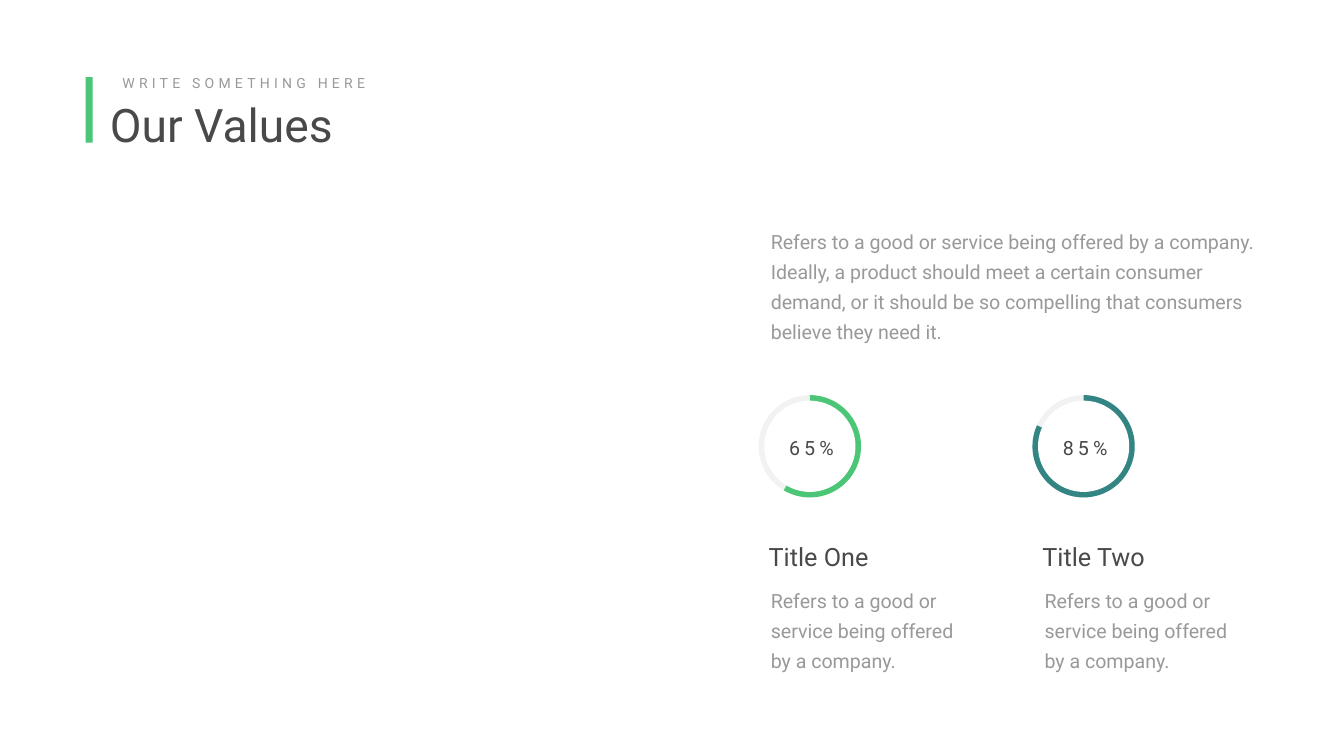
from lxml.etree import SubElement
from pptx import Presentation
from pptx.dml.color import RGBColor
from pptx.enum.shapes import MSO_SHAPE
from pptx.enum.text import MSO_ANCHOR, MSO_AUTO_SIZE, PP_ALIGN
from pptx.oxml.ns import qn
from pptx.util import Inches, Pt

DARK, GREY, GREEN, TEAL, WHITE = "494949", "999999", "4BC676", "328582", "FFFFFF"
BODY_MARGINS = (0.24, 0.12)
PLAIN_MARGINS = (0.1, 0.05)


def paint(target, color, alpha=None):
    target.solid()
    target.fore_color.rgb = RGBColor.from_string(color)
    if alpha is not None:
        color_element = target._xPr.find(qn("a:solidFill"))[0]
        SubElement(color_element, qn("a:alpha"), val=str(alpha * 1000))


def write(holder, text, size, color, margins=PLAIN_MARGINS, wrap=True,
          align=PP_ALIGN.LEFT, leading=None, tracking=None):
    frame = holder.text_frame
    side, end = (Inches(margin) for margin in margins)
    frame_format = {
        "margin_left": side, "margin_right": side,
        "margin_top": end, "margin_bottom": end,
        "word_wrap": wrap, "auto_size": MSO_AUTO_SIZE.NONE,
        "vertical_anchor": MSO_ANCHOR.TOP,
    }
    for name, value in frame_format.items():
        setattr(frame, name, value)
    paragraph = frame.paragraphs[0]
    paragraph.alignment = align
    if leading:
        paragraph.line_spacing = Pt(leading)
    run = paragraph.add_run()
    run.text = text
    for name, value in {"name": "Roboto", "size": Pt(size)}.items():
        setattr(run.font, name, value)
    run.font.color.rgb = RGBColor.from_string(color)
    if tracking:
        run.font._element.set("spc", str(tracking * 100))


def add_text(slide, box, text, size, color, **options):
    holder = slide.shapes.add_textbox(*map(Inches, box))
    write(holder, text, size, color, **options)


def add_plain_shape(shapes, kind, box, color, alpha=None):
    shape = shapes.add_shape(kind, *map(Inches, box))
    shape.shadow.inherit = False
    shape.line.fill.background()
    paint(shape.fill, color, alpha)
    return shape


def add_body(slide, box, text):
    add_text(slide, box, text, 28, GREY, margins=BODY_MARGINS, leading=43)


def add_heading(slide, box, title, tagline):
    left, top, width, height = box
    heading = slide.shapes.title
    place = {"left": left + 0.38, "top": top + 0.33,
             "width": width - 0.38, "height": 1.21}
    for name, value in place.items():
        setattr(heading, name, Inches(value))
    write(heading, title, 66, DARK)
    add_text(slide, (left + 0.63, top - 0.11, 5.96, 0.44), tagline, 20, GREY, tracking=6)
    add_plain_shape(slide.shapes, MSO_SHAPE.RECTANGLE, (left, top, 0.14, height), GREEN)


def add_dial(slide, box, label, color, end_angle):
    left, top, size, _ = box
    rim = 0.11
    hole_size = size - 2 * rim
    dial = slide.shapes.add_group_shape().shapes
    add_plain_shape(dial, MSO_SHAPE.OVAL, box, "808080", alpha=10)
    arc = add_plain_shape(dial, MSO_SHAPE.PIE, box, color)
    for index, angle in enumerate((270, end_angle)):
        arc.adjustments[index] = angle * 0.6
    add_plain_shape(dial, MSO_SHAPE.OVAL,
                    (left + rim, top + rim, hole_size, hole_size), WHITE)
    add_text(slide, (left + 0.45, top + 0.76, 1.19, 0.57), label, 28, DARK,
             wrap=False, align=PP_ALIGN.CENTER, tracking=6)


def add_value(slide, box, title, text, label, color, end_angle):
    left, top, width, _ = box
    add_dial(slide, (left, top, 2.03, 2.03), label, color, end_angle)
    add_text(slide, (left + 0.1, top + 2.85, width - 0.1, 0.71), title, 36, DARK)
    add_body(slide, (left, top + 3.6, width, 2), text)


def main():
    deck = Presentation()
    deck.slide_width, deck.slide_height = Inches(26.66), Inches(15)
    slide = deck.slides.add_slide(deck.slide_layouts[5])
    paint(slide.background.fill, WHITE)

    add_heading(slide, (1.7, 1.53, 11.57, 1.3), "Our Values", "WRITE SOMETHING HERE")

    values_left, column_step = 15.05, 5.43
    add_body(slide, (values_left, 4.31, 10.23, 2.6),
             "Refers to a good or service being offered by a company. "
             "Ideally, a product should meet a certain consumer demand, "
             "or it should be so compelling that consumers believe they need it.")
    summary = "Refers to a good or service being offered by a company."
    values = [("Title One", "65%", GREEN, 120.7), ("Title Two", "85%", TEAL, 204.2)]
    for column, (title, label, color, end_angle) in enumerate(values):
        box = (values_left + column * column_step, 7.84, 4.23, 5.6)
        add_value(slide, box, title, summary, label, color, end_angle)

    deck.save("out.pptx")


if __name__ == "__main__":
    main()
